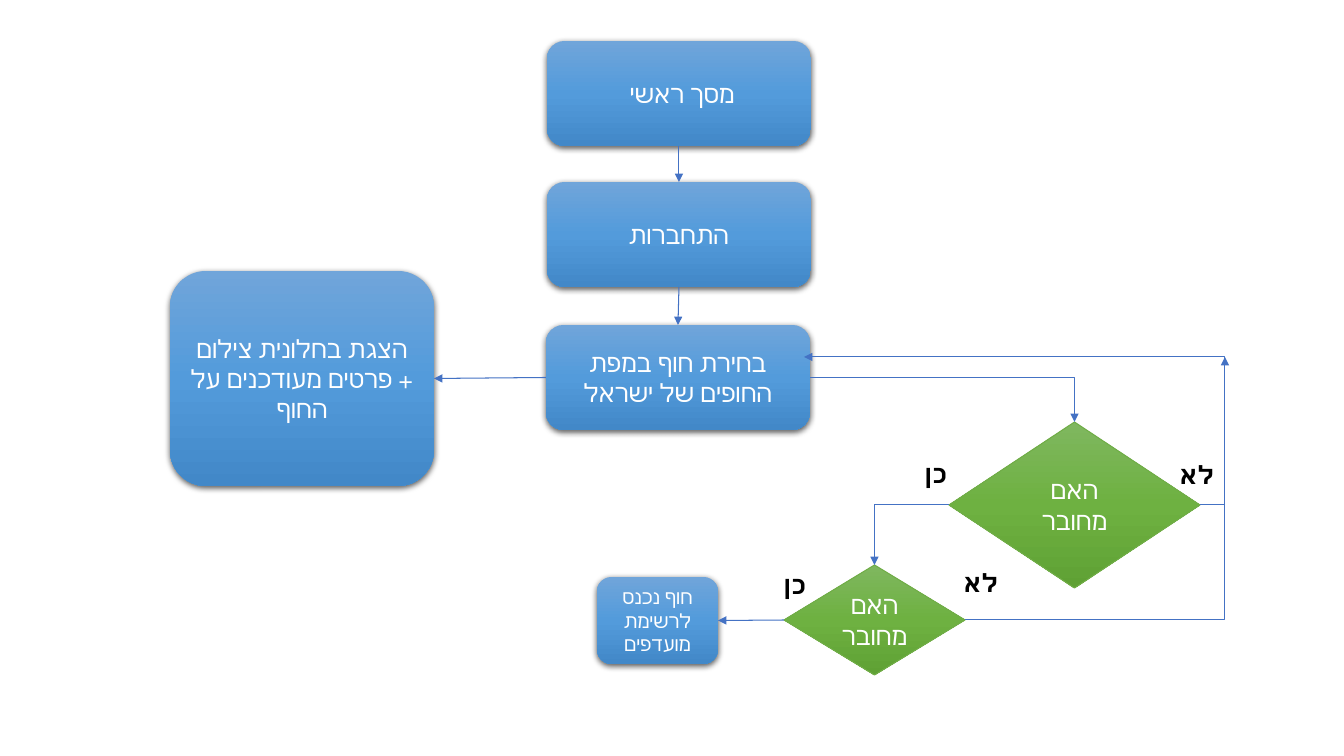
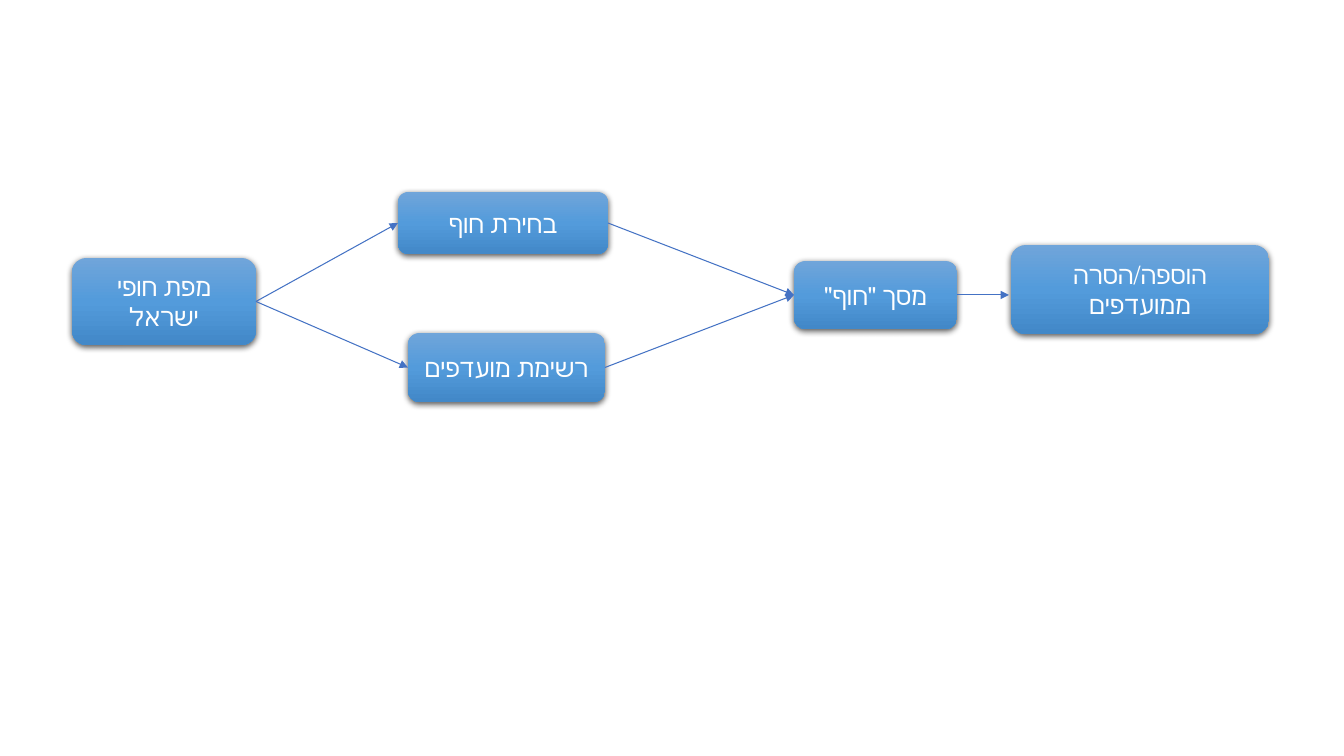
from copy import deepcopy

from lxml.etree import SubElement
from pptx import Presentation
from pptx.dml.color import RGBColor
from pptx.enum.shapes import MSO_CONNECTOR as Connector, MSO_SHAPE as Shape
from pptx.enum.text import MSO_ANCHOR as Anchor, MSO_AUTO_SIZE as AutoSize, PP_ALIGN as Align
from pptx.oxml.ns import qn
from pptx.util import Emu, Pt

PX = 914400 / 100.8
PAGE_WIDTH, PAGE_HEIGHT = 1344, 756
FONT = "Calibri"
WHITE, BLACK = "FFFFFF", "000000"
BLUES = ("70A5DA", "539BDB", "4288C8")
GREENS = ("7FB75F", "6EB141", "5FA134")
GREEN_EDGE, ARROW_BLUE = "70AD47", "4472C4"
TOP, LEFT, BOTTOM, RIGHT = range(4)
YES, NO = "כן", "לא"
CONNECTED = "האם מחובר"


def px(length):
    return Emu(round(length * PX))


def color(hex_string):
    return RGBColor.from_string(hex_string)


def inside(box, left, top, width, height):
    """Turn a frame relative to a box into a frame on the slide."""
    return box[0] + left, box[1] + top, width, height


def write(shape, text, size, hue, align, bold=False):
    """Write one right-to-left paragraph."""
    frame = shape.text_frame
    frame.word_wrap = True
    frame.text = text
    para = frame.paragraphs[0]
    para.alignment = align
    para._p.get_or_add_pPr().set("rtl", "1")
    span = para.runs[0]
    span.font.name = FONT
    span.font.size = Pt(size)
    span.font.bold = bold
    span.font.color.rgb = color(hue)


def add_node(slide, preset, frame, text, hues, size):
    """Add a preset shape with a three-stop vertical gradient."""
    node = slide.shapes.add_shape(preset, *map(px, frame))
    node.shadow.inherit = False
    node.fill.gradient()
    node.fill.gradient_angle = 270
    stops = node._element.spPr.find(".//" + qn("a:gsLst"))
    stops.append(deepcopy(stops[-1]))
    for stop, hue, position in zip(node.fill.gradient_stops, hues, (0, 0.5, 1)):
        stop.color.rgb = color(hue)
        stop.position = position
    write(node, text, size, WHITE, Align.CENTER)
    node.text_frame.vertical_anchor = Anchor.MIDDLE
    return node


def add_screen(slide, frame, text, size=18):
    """Add a blue rounded box with a soft shadow."""
    screen = add_node(slide, Shape.ROUNDED_RECTANGLE, frame, text, BLUES, size)
    screen.line.fill.background()
    effects = screen._element.spPr.find(qn("a:effectLst"))
    shadow = SubElement(effects, qn("a:outerShdw"), blurRad=str(Pt(4.5)), dist=str(Pt(1.5)),
                        dir="5400000", algn="ctr", rotWithShape="0")
    tint = SubElement(shadow, qn("a:srgbClr"), val=BLACK)
    SubElement(tint, qn("a:alpha"), val="63000")
    return screen


def add_decision(slide, frame, text):
    decision = add_node(slide, Shape.DIAMOND, frame, text, GREENS, 18)
    decision.line.color.rgb = color(GREEN_EDGE)
    decision.line.width = Pt(0.75)
    return decision


def add_label(slide, frame, text):
    label = slide.shapes.add_textbox(*map(px, frame))
    write(label, text, 18, BLACK, Align.RIGHT, bold=True)
    label.text_frame.auto_size = AutoSize.SHAPE_TO_FIT_TEXT


def side_point(shape, side):
    """Return the middle of a side, in EMU."""
    across = {LEFT: 0, RIGHT: 1}.get(side, 0.5)
    down = {TOP: 0, BOTTOM: 1}.get(side, 0.5)
    return Emu(round(shape.left + shape.width * across)), Emu(round(shape.top + shape.height * down))


def add_arrow(slide, start, end, kind=Connector.STRAIGHT):
    arrow = slide.shapes.add_connector(kind, *start, *end)
    arrow.line.color.rgb = color(ARROW_BLUE)
    arrow.line.width = Pt(0.75)
    SubElement(arrow.line._get_or_add_ln(), qn("a:tailEnd"), type="triangle")
    SubElement(arrow._element.spPr, qn("a:effectLst"))
    return arrow


def join(slide, source, source_side, target, target_side):
    arrow = add_arrow(slide, side_point(source, source_side), side_point(target, target_side))
    arrow.begin_connect(source, source_side)
    arrow.end_connect(target, target_side)


def add_corner(slide, start, end):
    """Add an arrow that runs across, then turns once up or down."""
    arrow = add_arrow(slide, start, end, Connector.ELBOW)
    arrow._element.spPr.find(qn("a:prstGeom")).set("prst", "bentConnector2")


def add_return(slide, start, end, lane):
    """Add an arrow that goes out to a vertical lane and comes back."""
    arrow = add_arrow(slide, start, end, Connector.ELBOW)
    bend = round((lane - start[0]) / (end[0] - start[0]) * 100000)
    guides = arrow._element.spPr.find(qn("a:prstGeom")).get_or_add_avLst()
    SubElement(guides, qn("a:gd"), name="adj1", fmla=f"val {bend}")


def draw_screens(slide, box):
    """Draw the column of screens and the details box; return the map screen."""
    home = add_screen(slide, inside(box, 377, 0, 264, 105), "מסך ראשי ")
    login = add_screen(slide, inside(box, 377, 141, 264, 105), "התחברות")
    beach_map = add_screen(slide, inside(box, 376, 284, 264, 105), "בחירת חוף במפת החופים של ישראל")
    details = add_screen(slide, inside(box, 0, 230, 264, 215),
                         "הצגת בחלונית צילום + פרטים מעודכנים על החוף")
    join(slide, home, BOTTOM, login, TOP)
    join(slide, login, BOTTOM, beach_map, TOP)
    join(slide, beach_map, LEFT, details, RIGHT)
    return beach_map


def draw_checks(slide, box, beach_map):
    """Draw both decisions; the right edge of the box is the way back to the map."""
    first = add_decision(slide, inside(box, 352, 0, 251, 166), CONNECTED)
    second = add_decision(slide, inside(box, 187, 143, 181, 110), CONNECTED)
    favourites = add_screen(slide, inside(box, 0, 155, 121, 87), "חוף נכנס לרשימת מועדפים", 14)
    for left, top, answer in ((301, 31, YES), (568, 32, NO), (160, 142, YES), (352, 140, NO)):
        add_label(slide, inside(box, left, top, 59, 40), answer)

    lane = px(box[0] + box[2])
    back_x, back_y = beach_map.left + px(258), beach_map.top + px(32)
    add_corner(slide, side_point(beach_map, RIGHT), side_point(first, TOP))
    add_corner(slide, side_point(first, LEFT), side_point(second, TOP))
    add_return(slide, side_point(first, RIGHT), (back_x, back_y), lane)
    add_corner(slide, side_point(second, RIGHT), (lane, back_y))
    join(slide, second, LEFT, favourites, RIGHT)


def draw_beach_flow(slide, box):
    beach_map = add_screen(slide, inside(box, 0, 66, 184, 87), "מפת חופי ישראל")
    choice = add_screen(slide, inside(box, 326, 0, 210, 62), "בחירת חוף")
    favourites = add_screen(slide, inside(box, 336, 141, 197, 69), "רשימת מועדפים")
    beach = add_screen(slide, inside(box, 722, 69, 163, 68), "מסך \"חוף\"")
    toggle = add_screen(slide, inside(box, 939, 53, 258, 89), "הוספה/הסרה ממועדפים")
    for route in (choice, favourites):
        join(slide, beach_map, RIGHT, route, LEFT)
        join(slide, route, RIGHT, beach, LEFT)
    start = side_point(beach, RIGHT)
    arrow = add_arrow(slide, start, (toggle.left - px(2), start[1]))
    arrow.begin_connect(beach, RIGHT)


def main():
    deck = Presentation()
    deck.slide_width, deck.slide_height = px(PAGE_WIDTH), px(PAGE_HEIGHT)
    blank = deck.slide_layouts[6]

    login_page = deck.slides.add_slide(blank)
    beach_map = draw_screens(login_page, (170, 41, 641, 445))
    draw_checks(login_page, (597, 422, 628, 253), beach_map)

    beach_page = deck.slides.add_slide(blank)
    draw_beach_flow(beach_page, (72, 192, 1197, 210))

    deck.save("out.pptx")


if __name__ == "__main__":
    main()
